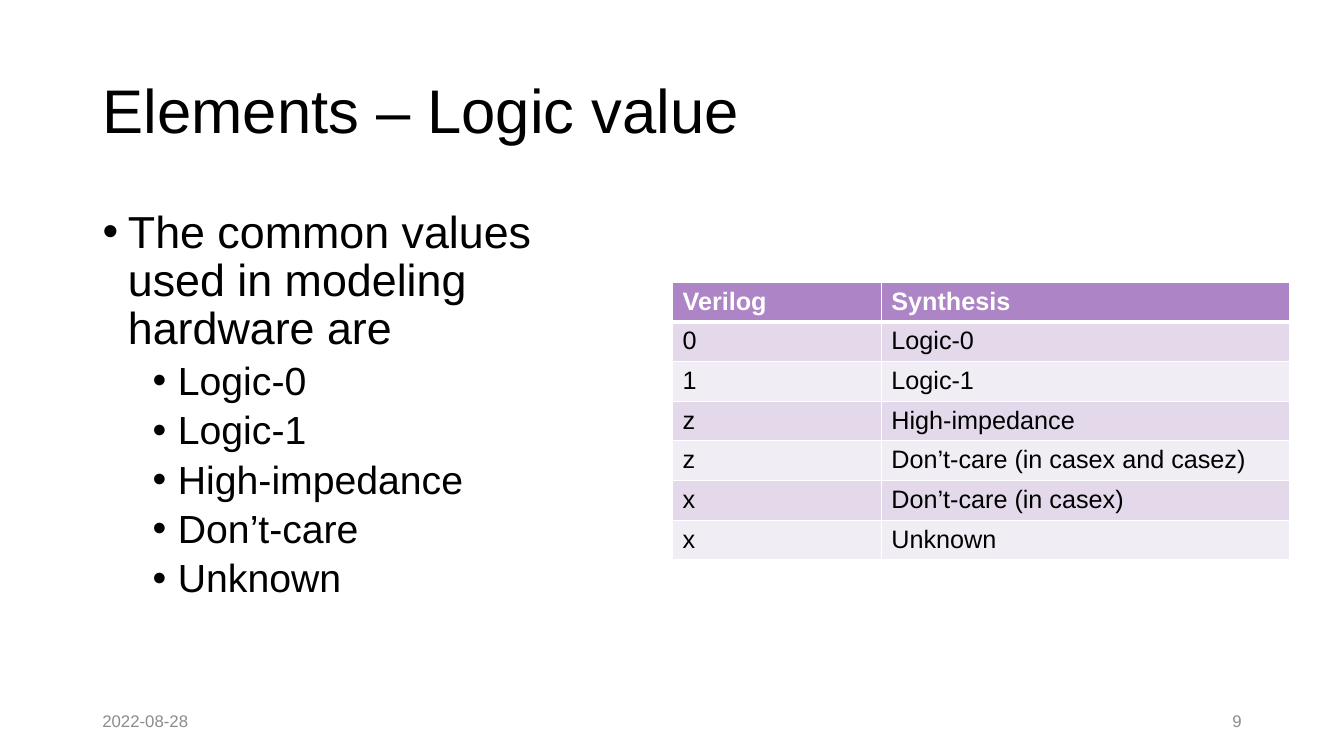
from lxml import etree
from pptx import Presentation
from pptx.dml.color import RGBColor
from pptx.enum.text import MSO_ANCHOR, MSO_AUTO_SIZE, PP_ALIGN
from pptx.oxml.ns import qn
from pptx.util import Cm, Pt

LEFT, RIGHT = PP_ALIGN.LEFT, PP_ALIGN.RIGHT
MIDDLE, TOP = MSO_ANCHOR.MIDDLE, MSO_ANCHOR.TOP
NO_AUTOFIT = MSO_AUTO_SIZE.NONE

BLACK = RGBColor(0x00, 0x00, 0x00)
WHITE = RGBColor(0xFF, 0xFF, 0xFF)
GREY = RGBColor(0x8C, 0x8C, 0x8C)
PURPLE = RGBColor(0xAD, 0x84, 0xC6)
LILAC = RGBColor(0xE3, 0xD9, 0xEA)
PALE_LILAC = RGBColor(0xF1, 0xED, 0xF5)


def style(para, size, color, bold=False, align=LEFT):
    para.alignment = align
    para.font.name = "Arial"
    para.font.size = Pt(size)
    para.font.bold = bold
    para.font.color.rgb = color


def add_border(cell, side, width, position):
    line = etree.Element(qn(f"a:{side}"), w=str(Pt(width)))
    fill = etree.SubElement(line, qn("a:solidFill"))
    etree.SubElement(fill, qn("a:srgbClr"), val=str(WHITE))
    cell._tc.get_or_add_tcPr().insert(position, line)


deck = Presentation()
deck.slide_width, deck.slide_height = Cm(33.87), Cm(19.05)
page = deck.slides.add_slide(deck.slide_layouts[1])

# Title
title = page.shapes.title
title.left, title.top, title.width, title.height = Cm(2.33), Cm(1.01), Cm(29.21), Cm(3.68)
title.text_frame.text = "Elements – Logic value"
title.text_frame.auto_size = NO_AUTOFIT
title.text_frame.vertical_anchor = MIDDLE
title_para = title.text_frame.paragraphs[0]
title_para.line_spacing = 0.9
style(title_para, 44, BLACK)

# Bulleted list
body = page.placeholders[1]
body.left, body.top, body.width, body.height = Cm(2.33), Cm(5.15), Cm(13.61), Cm(12.09)
body.text_frame.text = "\n".join([
    "The common values used in modeling hardware are",
    "Logic-0", "Logic-1", "High-impedance", "Don’t-care", "Unknown",
])
body.text_frame.auto_size = NO_AUTOFIT
body.text_frame.vertical_anchor = TOP
for index, para in enumerate(body.text_frame.paragraphs):
    para.level = 1 if index else 0
    size, gap, indent = (28, 5, 1.9) if index else (32, 10, 0.64)
    para.line_spacing = 0.9
    para.space_before = Pt(gap)
    props = para._p.get_or_add_pPr()
    props.set("marL", str(Cm(indent)))
    props.set("indent", str(Cm(-0.64)))
    etree.SubElement(props, qn("a:buFont"), typeface="Arial")
    etree.SubElement(props, qn("a:buChar"), char="•")
    style(para, size, BLACK)

# Table of logic values
logic_values = [
    ("Verilog", "Synthesis"),
    ("0", "Logic-0"),
    ("1", "Logic-1"),
    ("z", "High-impedance"),
    ("z", "Don’t-care (in casex and casez)"),
    ("x", "Don’t-care (in casex)"),
    ("x", "Unknown"),
]
table = page.shapes.add_table(
    len(logic_values), 2, Cm(16.95), Cm(7.11), Cm(15.55), Cm(7)).table
table.columns[0].width, table.columns[1].width = Cm(5.26), Cm(10.29)
for row, values in enumerate(logic_values):
    table.rows[row].height = Cm(1)
    header = row == 0
    for column, value in enumerate(values):
        cell = table.cell(row, column)
        cell.text = value
        cell.fill.solid()
        cell.fill.fore_color.rgb = PURPLE if header else LILAC if row % 2 else PALE_LILAC
        style(cell.text_frame.paragraphs[0], 18, WHITE if header else BLACK, bold=header)
        widths = {"lnL": 1, "lnR": 1, "lnT": 3 if row == 1 else 1, "lnB": 3 if header else 1}
        for position, (side, width) in enumerate(widths.items()):
            add_border(cell, side, width, position)

# Date and page number
for text, left, align in [("2022-08-28", 2.33, LEFT), ("9", 23.92, RIGHT)]:
    box = page.shapes.add_textbox(Cm(left), Cm(17.66), Cm(7.62), Cm(1.01))
    box.text_frame.word_wrap = True
    box.text_frame.vertical_anchor = MIDDLE
    box.text_frame.text = text
    style(box.text_frame.paragraphs[0], 12, GREY, align=align)

deck.save("out.pptx")
